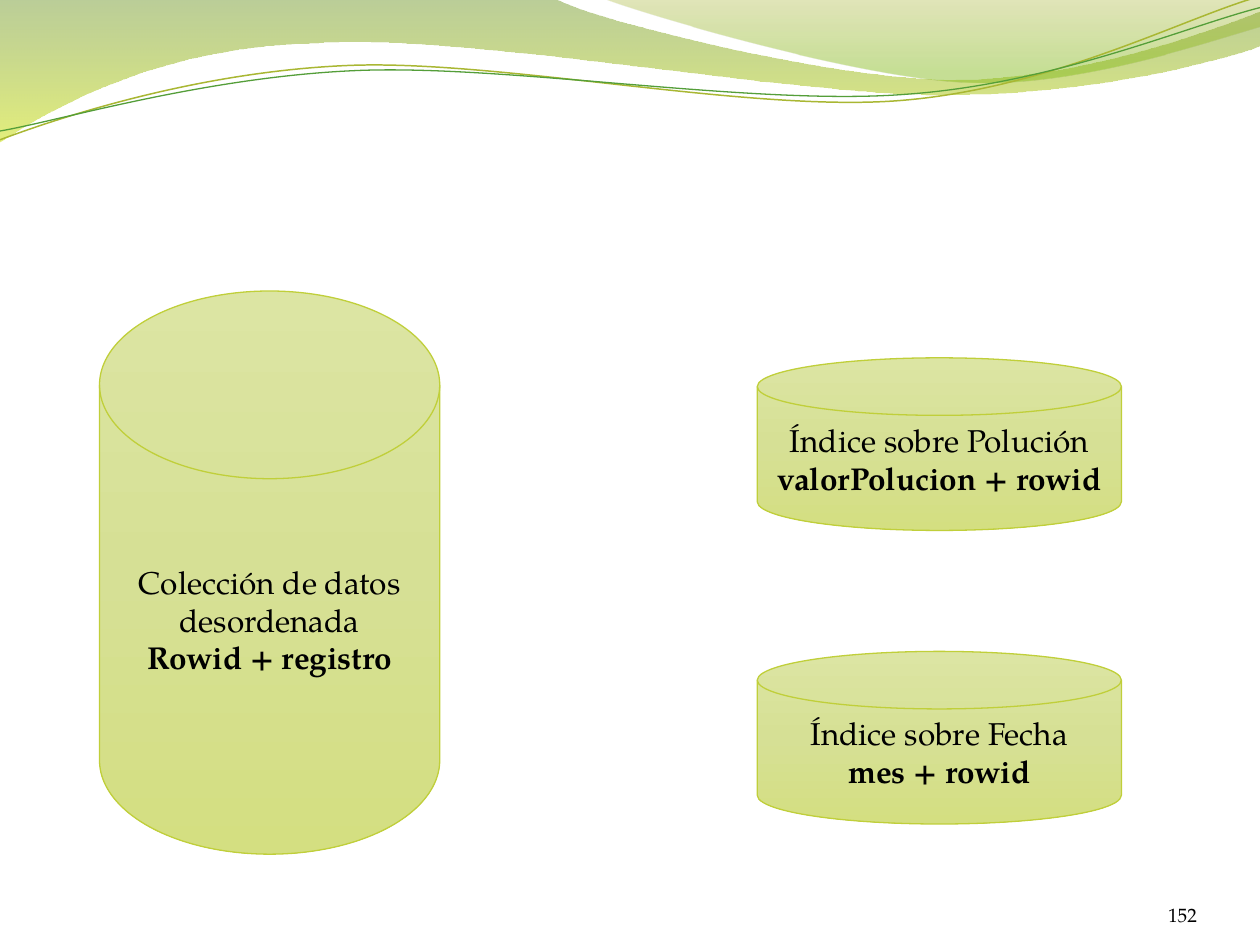
from math import cos, radians, sin

from lxml.etree import SubElement
from pptx import Presentation
from pptx.dml.color import RGBColor
from pptx.enum.shapes import MSO_SHAPE
from pptx.enum.text import MSO_ANCHOR, PP_ALIGN
from pptx.oxml.ns import qn
from pptx.util import Inches, Pt

FONT = "TeX Gyre Pagella"
COLORS = {"text": "000000", "disk_line": "C0CF3A", "olive": "A9B733", "green": "549E39"}

# Gradient stops: position %, colour, opacity %
DISK_FILL = [(0, "DCE5A3", 100), (50, "D6E095", 100), (100, "D4DF81", 100)]
LEFT_WAVE_FILL = [(0, "69921C", 45), (100, "CCE10F", 55)]
RIGHT_WAVE_FILL = [(0, "9BAA1A", 30), (80, "81BA16", 45)]

# Outlines: a pair is a straight step, six numbers are a Bézier curve
WAVES = [
    ((-0.01, -0.01, 10.02, 1.14),
     [(0, 0), (4.4, -0.01), (4.75, 0.17, 6.63, 0.63, 7.58, 0.63),
      (8.53, 0.63, 9.58, 0.26, 10, 0.09), (10.01, 0.36),
      (9.83, 0.44, 8.69, 0.76, 7.46, 0.75), (6.22, 0.75, 3.81, 0.28, 2.57, 0.34),
      (1.29, 0.36, 0.46, 0.83, -0.01, 1.13), (0, 0)], LEFT_WAVE_FILL),
    ((4.79, -0.01, 5.21, 0.7),
     [(4.79, -0.01), (5.09, 0.11, 6.82, 0.62, 7.68, 0.65),
      (8.55, 0.69, 9.61, 0.32, 10, 0.21), (10, 0), (4.79, -0.01)], RIGHT_WAVE_FILL),
]
STRANDS = [
    ((-0.02, 0.22, 10.02, 0.71),
     [(0, 1.11), (0.48, 0.93, 1.57, 0.57, 2.76, 0.52),
      (3.95, 0.47, 5.92, 0.89, 7.12, 0.8), (8.33, 0.71, 9.38, 0.15, 9.97, -0.02)],
     "olive", 0.85),
    ((-0.02, 0.3, 10.03, 0.58),
     [(0, 1.04), (0.47, 0.96, 1.63, 0.61, 2.83, 0.56),
      (4.02, 0.51, 5.97, 0.84, 7.17, 0.75), (8.36, 0.67, 9.41, 0.21, 10, 0.06)],
     "green", 0.75),
]
STRAND_TILT = -2.7
DISKS = [
    ((0.79, 2.31, 2.7, 4.47), "Colección de datos desordenada", "Rowid + registro"),
    ((6.01, 2.84, 2.89, 1.37), "Índice sobre Polución", "valorPolucion + rowid"),
    ((6.01, 5.17, 2.89, 1.37), "Índice sobre Fecha", "mes + rowid"),
]
PAGE_NUMBER = "152"


def color(name):
    return RGBColor.from_string(COLORS[name])


def add_outline(slide, box, outline, close, tilt=0):
    """Draw an outline given in slide inches inside a box turned by tilt degrees."""
    left, top, width, height = box
    right, bottom = left + width, top + height
    corners = [(Inches(x), Inches(y))
               for x, y in ((left, top), (right, top), (right, bottom))]
    builder = slide.shapes.build_freeform(*corners[0])
    builder.add_line_segments(corners[1:], close=close)
    sp = builder.convert_to_shape()
    sp.shadow.inherit = False
    sp.rotation = tilt

    c, s = cos(radians(tilt)), sin(radians(tilt))
    curve = next(sp._element.iter(qn("a:path")))
    for old in list(curve):
        curve.remove(old)
    for i, step in enumerate(outline):
        tag = "a:moveTo" if i == 0 else "a:lnTo" if len(step) == 2 else "a:cubicBezTo"
        command = SubElement(curve, qn(tag))
        for x, y in zip(step[::2], step[1::2]):
            dx, dy = x - left - width / 2, y - top - height / 2
            SubElement(command, qn("a:pt"),
                       x=str(Inches(width / 2 + dx * c + dy * s)),
                       y=str(Inches(height / 2 - dx * s + dy * c)))
    if close:
        SubElement(curve, qn("a:close"))
    return sp


def fill_gradient(sp, stops):
    """Fill from top to bottom with any number of stops."""
    sp.fill.gradient()
    sp.fill.gradient_angle = 270
    stop_list = next(sp._element.spPr.iter(qn("a:gsLst")))
    for old in list(stop_list):
        stop_list.remove(old)
    for position, rgb, opacity in stops:
        stop = SubElement(stop_list, qn("a:gs"), pos=str(position * 1000))
        clr = SubElement(stop, qn("a:srgbClr"), val=rgb)
        if opacity < 100:
            SubElement(clr, qn("a:alpha"), val=str(opacity * 1000))


def add_run(p, text, size, align, bold=False):
    p.alignment = align
    r = p.add_run()
    r.text = text
    r.font.name = FONT
    r.font.size = Pt(size)
    r.font.bold = bold
    r.font.color.rgb = color("text")


def add_disk(slide, box, label, fields):
    sp = slide.shapes.add_shape(MSO_SHAPE.FLOWCHART_MAGNETIC_DISK, *map(Inches, box))
    sp.shadow.inherit = False
    fill_gradient(sp, DISK_FILL)
    sp.line.color.rgb = color("disk_line")
    sp.line.width = Pt(0.75)
    tf = sp.text_frame
    tf.word_wrap = True
    tf.vertical_anchor = MSO_ANCHOR.MIDDLE
    add_run(tf.paragraphs[0], label, 18, PP_ALIGN.CENTER)
    add_run(tf.add_paragraph(), fields, 18, PP_ALIGN.CENTER, bold=True)


def add_page_number(slide):
    box = slide.shapes.add_textbox(Inches(8.67), Inches(6.95), Inches(0.83), Inches(0.4))
    tf = box.text_frame
    tf.word_wrap = True
    tf.vertical_anchor = MSO_ANCHOR.BOTTOM
    tf.margin_left = tf.margin_top = tf.margin_right = tf.margin_bottom = 0
    add_run(tf.paragraphs[0], PAGE_NUMBER, 11, PP_ALIGN.RIGHT)


def main():
    prs = Presentation()
    prs.slide_width, prs.slide_height = Inches(10), Inches(7.5)
    slide = prs.slides.add_slide(prs.slide_layouts[6])
    for box, outline, stops in WAVES:
        wave = add_outline(slide, box, outline, close=True)
        fill_gradient(wave, stops)
        wave.line.fill.background()
    for box, outline, name, width in STRANDS:
        strand = add_outline(slide, box, outline, close=False, tilt=STRAND_TILT)
        strand.fill.background()
        strand.line.color.rgb = color(name)
        strand.line.width = Pt(width)
    add_page_number(slide)
    for disk in DISKS:
        add_disk(slide, *disk)
    prs.save("out.pptx")


if __name__ == "__main__":
    main()
